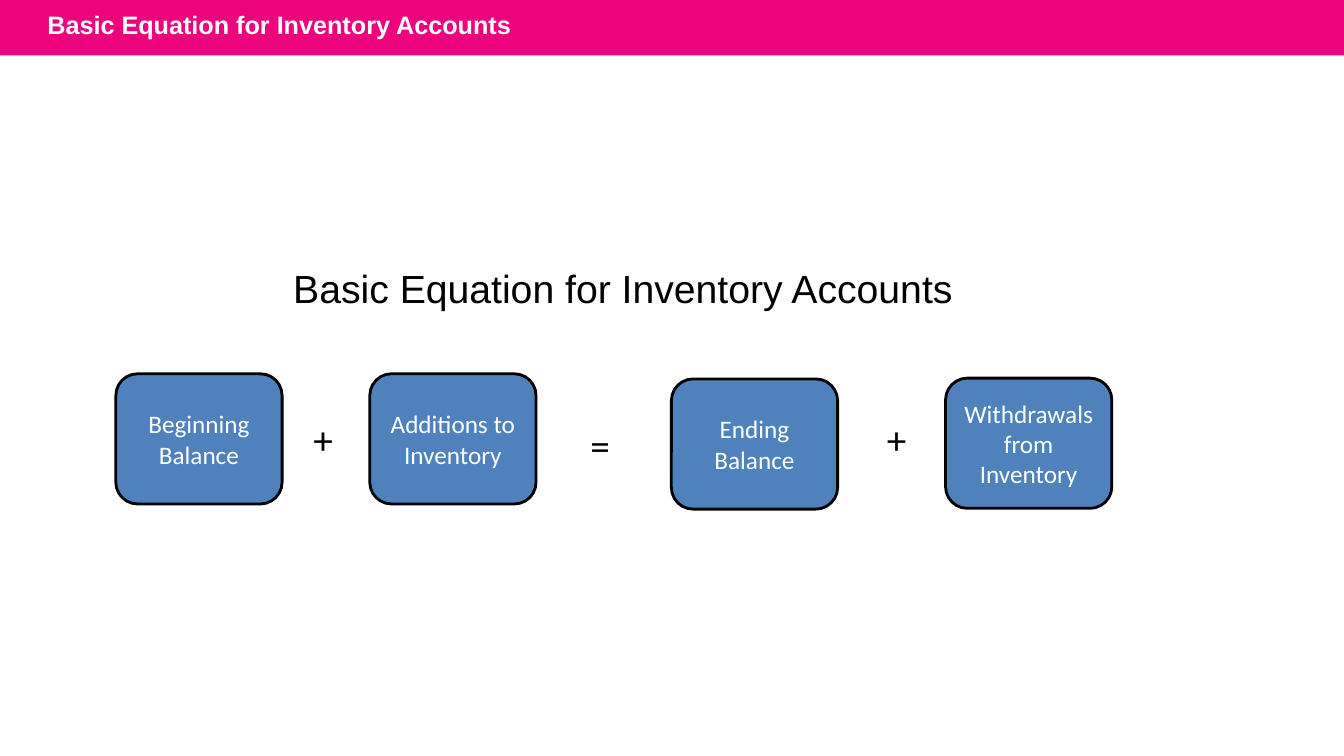
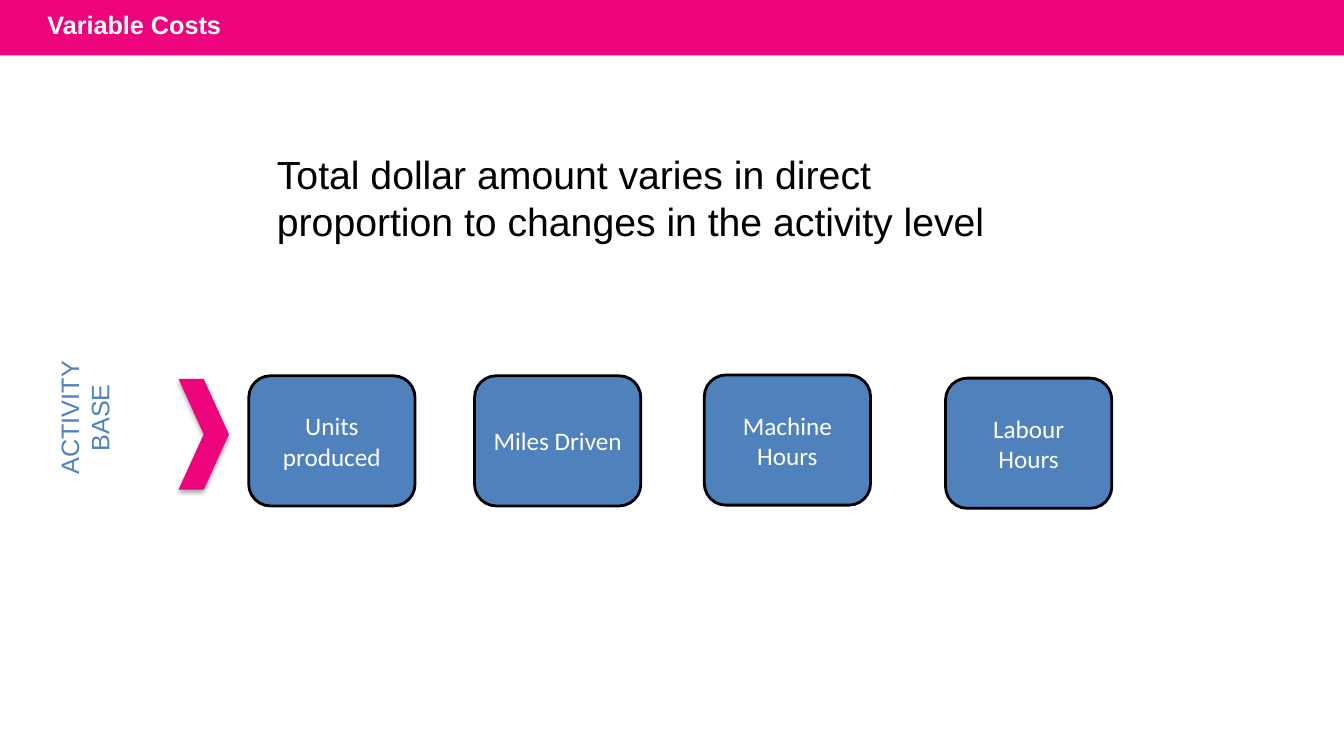
from dataclasses import dataclass

from lxml.etree import SubElement
from pptx import Presentation
from pptx.dml.color import RGBColor
from pptx.enum.shapes import MSO_SHAPE
from pptx.enum.text import MSO_ANCHOR, MSO_AUTO_SIZE, PP_ALIGN
from pptx.oxml.ns import qn
from pptx.util import Cm, Pt


@dataclass(frozen=True)
class Theme:
    pink: str = "ED037C"
    blue: str = "4F81BD"
    white: str = "FFFFFF"
    black: str = "000000"
    sans: str = "Arial"
    card: str = "Calibri"
    small: int = 18
    large: int = 28
    rule: int = 2


THEME = Theme()
WIDE, HIGH = 33.87, 19.05
CARD = 4.19, 3.28
SIGN = 1.22, 1.45


def write(frame, words, font=THEME.sans, size=THEME.large, color=THEME.black,
          bold=False, align=PP_ALIGN.LEFT, anchor=MSO_ANCHOR.TOP):
    frame.word_wrap = True
    frame.auto_size = MSO_AUTO_SIZE.NONE
    frame.vertical_anchor = anchor
    frame.text = words
    line = frame.paragraphs[0]
    line.alignment = align
    line.font.name = font
    line.font.size = Pt(size)
    line.font.bold = bold
    line.font.color.rgb = RGBColor.from_string(color)


def add_text(slide, words, left, top, width, height, turn=0, **style):
    box = slide.shapes.add_textbox(Cm(left), Cm(top), Cm(width), Cm(height))
    box.rotation = turn
    write(box.text_frame, words, **style)


def add_block(slide, kind, left, top, width, height, color):
    block = slide.shapes.add_shape(kind, Cm(left), Cm(top), Cm(width), Cm(height))
    block.shadow.inherit = False
    block.fill.solid()
    block.fill.fore_color.rgb = RGBColor.from_string(color)
    block.line.fill.background()
    return block


def add_card(slide, words, left, top):
    card = add_block(slide, MSO_SHAPE.ROUNDED_RECTANGLE, left, top, *CARD, THEME.blue)
    card.line.color.rgb = RGBColor.from_string(THEME.black)
    card.line.width = Pt(THEME.rule)
    write(card.text_frame, words, font=THEME.card, size=THEME.small,
          color=THEME.white, align=PP_ALIGN.CENTER, anchor=MSO_ANCHOR.MIDDLE)


def add_arrow(slide, left, top, width, height):
    arrow = add_block(slide, MSO_SHAPE.CHEVRON, left, top, width, height, THEME.pink)
    effects = arrow.element.spPr.find(qn("a:effectLst"))
    shade = SubElement(effects, qn("a:outerShdw"), blurRad=str(Pt(3.5)),
                       dist=str(Pt(2.2)), dir="5400000", rotWithShape="0")
    color = SubElement(shade, qn("a:srgbClr"), val=THEME.black)
    SubElement(color, qn("a:alpha"), val="32000")


def set_layout(deck):
    layout = deck.slide_layouts[5]
    title = layout.placeholders[0]
    title.left, title.top = Cm(0.94), Cm(-0.08)
    title.width, title.height = Cm(26.67), Cm(1.4)
    return layout


def add_slide(deck, layout, title):
    slide = deck.slides.add_slide(layout)
    write(slide.shapes.title.text_frame, title, size=THEME.small,
          color=THEME.white, bold=True, anchor=MSO_ANCHOR.MIDDLE)
    return slide


def share_band(slide, layout):
    band = add_block(slide, MSO_SHAPE.RECTANGLE, 0, 0, WIDE, 1.4, THEME.pink)
    layout.shapes.element.insert(2, band.element)


def fill_sum(slide):
    add_text(slide, "Basic Equation for Inventory Accounts", 7.14, 6.53, 18.8, 1.45)
    for words, left, top in (
        ("Beginning Balance", 2.92, 9.42),
        ("Additions to Inventory", 9.32, 9.42),
        ("Ending Balance", 16.92, 9.55),
        ("Withdrawals from Inventory", 23.83, 9.53),
    ):
        add_card(slide, words, left, top)
    for sign, left, top in (("+", 7.65, 10.34), ("=", 14.63, 10.49), ("+", 22.1, 10.34)):
        add_text(slide, sign, left, top, *SIGN, font=THEME.card)


def fill_costs(slide):
    add_text(slide, "Total dollar amount varies in direct proportion to changes "
             "in the activity level", 6.73, 3.66, 18.8, 2.64)
    for words, left, top in (
        ("Units produced", 6.27, 9.47),
        ("Miles Driven", 11.96, 9.47),
        ("Machine Hours", 17.75, 9.45),
        ("Labour Hours", 23.83, 9.53),
    ):
        add_card(slide, words, left, top)
    add_arrow(slide, 4.5, 9.55, 1.27, 2.79)
    add_text(slide, "ACTIVITY BASE", 0.33, 9.63, 3.61, 1.8, turn=270,
             size=THEME.small, color=THEME.blue, align=PP_ALIGN.CENTER)


def main():
    deck = Presentation()
    deck.slide_width, deck.slide_height = Cm(WIDE), Cm(HIGH)
    layout = set_layout(deck)
    first = add_slide(deck, layout, "Basic Equation for Inventory Accounts")
    share_band(first, layout)
    fill_sum(first)
    fill_costs(add_slide(deck, layout, "Variable Costs"))
    deck.save("out.pptx")


if __name__ == "__main__":
    main()
